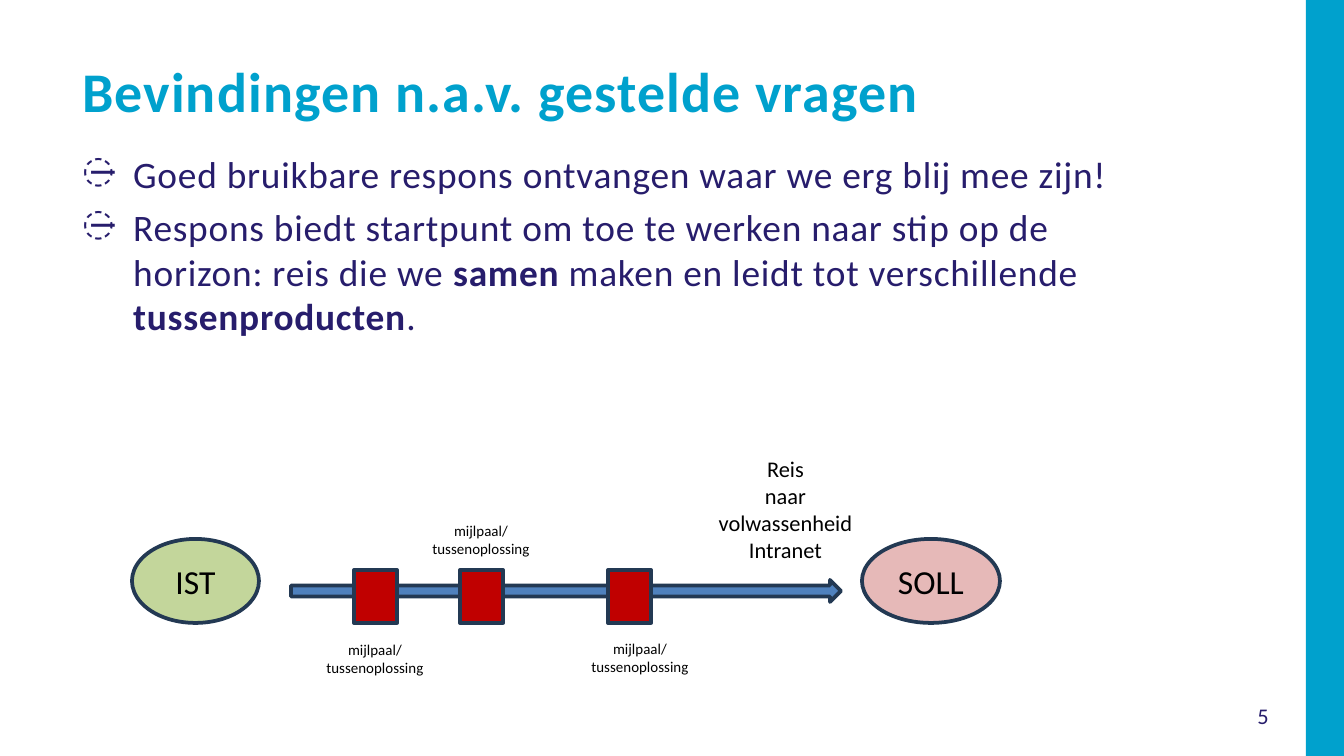
from pptx import Presentation
from pptx.util import Emu, Pt
from pptx.dml.color import RGBColor
from pptx.enum.shapes import MSO_SHAPE
from pptx.enum.text import MSO_ANCHOR, PP_ALIGN
from lxml import etree

RECT, OVAL, ARROW = MSO_SHAPE.RECTANGLE, MSO_SHAPE.OVAL, MSO_SHAPE.RIGHT_ARROW
LEFT, CENTER = PP_ALIGN.LEFT, PP_ALIGN.CENTER
MIDDLE = MSO_ANCHOR.MIDDLE

CYAN = RGBColor(0x00, 0xA1, 0xCD)
INDIGO = RGBColor(0x27, 0x1D, 0x6C)
NAVY = RGBColor(0x23, 0x39, 0x53)
GREEN = RGBColor(0xC3, 0xD6, 0x9B)
PINK = RGBColor(0xE6, 0xB9, 0xB8)
BLUE = RGBColor(0x4F, 0x81, 0xBD)
RED = RGBColor(0xC0, 0x00, 0x00)
BLACK = RGBColor(0x00, 0x00, 0x00)

PX = 914400 / 134.4
A = "{http://schemas.openxmlformats.org/drawingml/2006/main}"

prs = Presentation()
prs.slide_width, prs.slide_height = Emu(9144000), Emu(round(756 * PX))
s = prs.slides.add_slide(prs.slide_layouts[6])


def add_shape(kind, box, fill, line=NAVY):
    sp = s.shapes.add_shape(kind, *[Emu(round(v * PX)) for v in box])
    sp.shadow.inherit = False
    sp.fill.solid()
    sp.fill.fore_color.rgb = fill
    if line is None:
        sp.line.fill.background()
    else:
        sp.line.color.rgb = line
        sp.line.width = Pt(2)
    return sp


def write(box, paragraphs, size, color, align=CENTER, spacing=0):
    """Fill a shape, or a new text box at a px box, with paragraphs of (text, bold) runs."""
    sp = box
    if isinstance(box, tuple):
        sp = s.shapes.add_textbox(*[Emu(round(v * PX)) for v in box])
    tf = sp.text_frame
    tf.word_wrap = True
    for i, runs in enumerate(paragraphs):
        p = tf.paragraphs[0] if i == 0 else tf.add_paragraph()
        p.alignment = align
        p.font.name, p.font.size, p.font.color.rgb = "Calibri", Pt(size), color
        for text, bold in runs:
            r = p.add_run()
            r.text, r.font.bold = text, bold
            if spacing:
                r.font._element.set("spc", str(spacing))
    return tf


add_shape(RECT, (1306, 0, 38, 756), CYAN, None)
number = write((1220, 692, 86, 47), [[("5", False)]], 12, INDIGO)
number.vertical_anchor = MIDDLE

write((69, 50, 1196, 74), [[("Bevindingen n.a.v. gestelde vragen", True)]],
      30, CYAN, LEFT, 60)

findings = write((69, 145, 1122, 540), [
    [("Goed bruikbare respons ontvangen waar we erg blij mee zijn!", False)],
    [("Respons biedt startpunt om toe te werken naar stip op de horizon: reis die we ", False),
     ("samen", True),
     (" maken en leidt tot verschillende ", False),
     ("tussenproducten", True),
     (".", False)],
], 20, INDIGO, LEFT, 40)
indent = round(51 * PX)
for p in findings.paragraphs:
    p.space_before = Pt(4)
    pPr = p._p.get_or_add_pPr()
    pPr.set("marL", str(indent))
    pPr.set("indent", str(-indent))
    bullet = etree.Element(A + "buChar", char="̶")
    pPr.find(A + "defRPr").addprevious(bullet)

# Journey from the current to the desired situation
for label, x, w, fill in (("IST", 132, 127, GREEN), ("SOLL", 862, 138, PINK)):
    sp = add_shape(OVAL, (x, 539, w, 84), fill)
    write(sp, [[(label, False)]], 18, BLACK).vertical_anchor = MIDDLE

add_shape(ARROW, (291, 580, 550, 22), BLUE)

milestone = [[("mijlpaal/", False)], [("tussenoplossing", False)]]
for x, label_x, label_y in ((354, 312, 634), (460, 418, 515), (608, 577, 633)):
    add_shape(RECT, (x, 570, 43, 53), RED)
    write((label_x, label_y, 126, 50), milestone, 8, BLACK)

journey = ("Reis", "naar", "volwassenheid", "Intranet")
write((701, 449, 169, 122), [[(line, False)] for line in journey], 12, BLACK)

prs.save("out.pptx")
